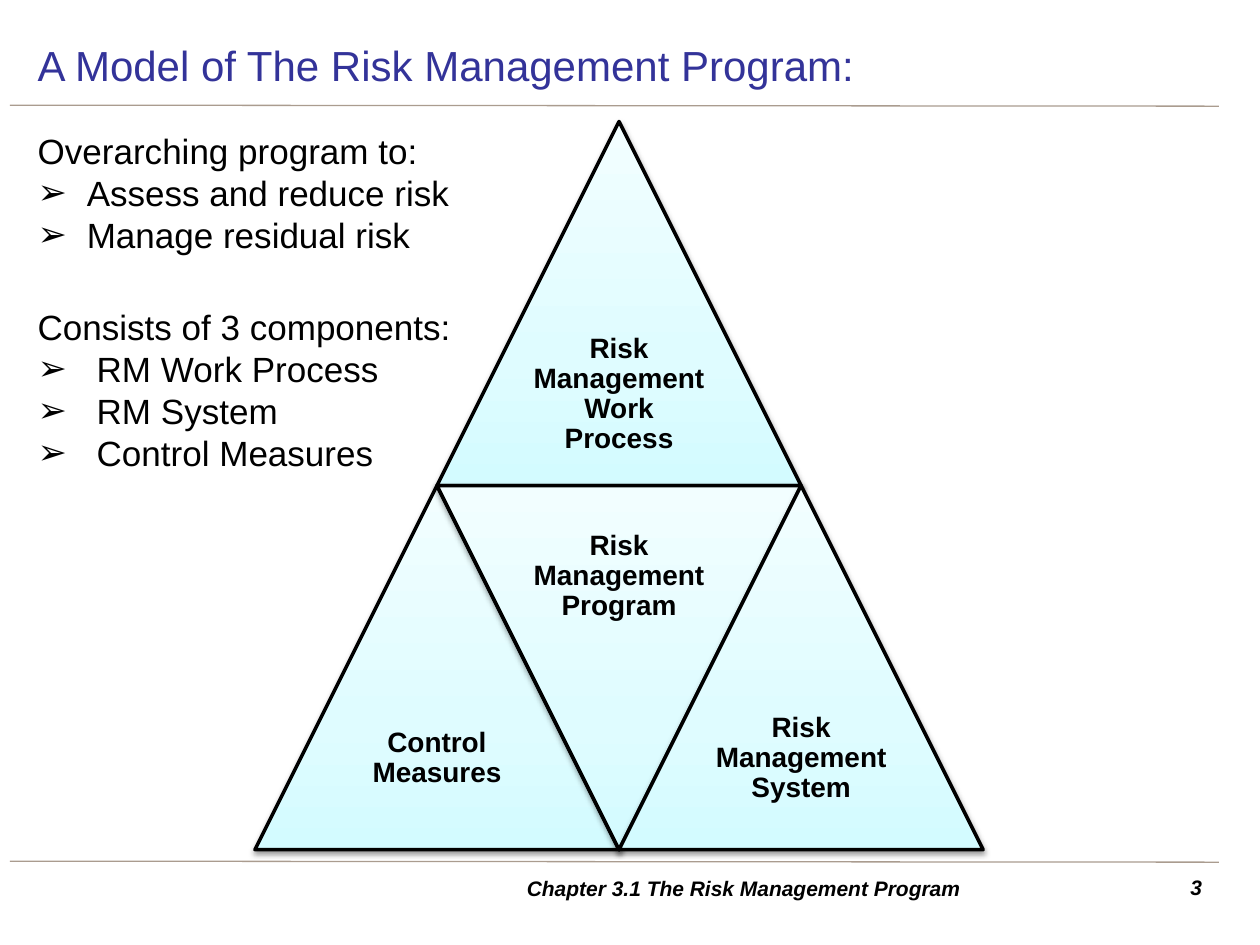
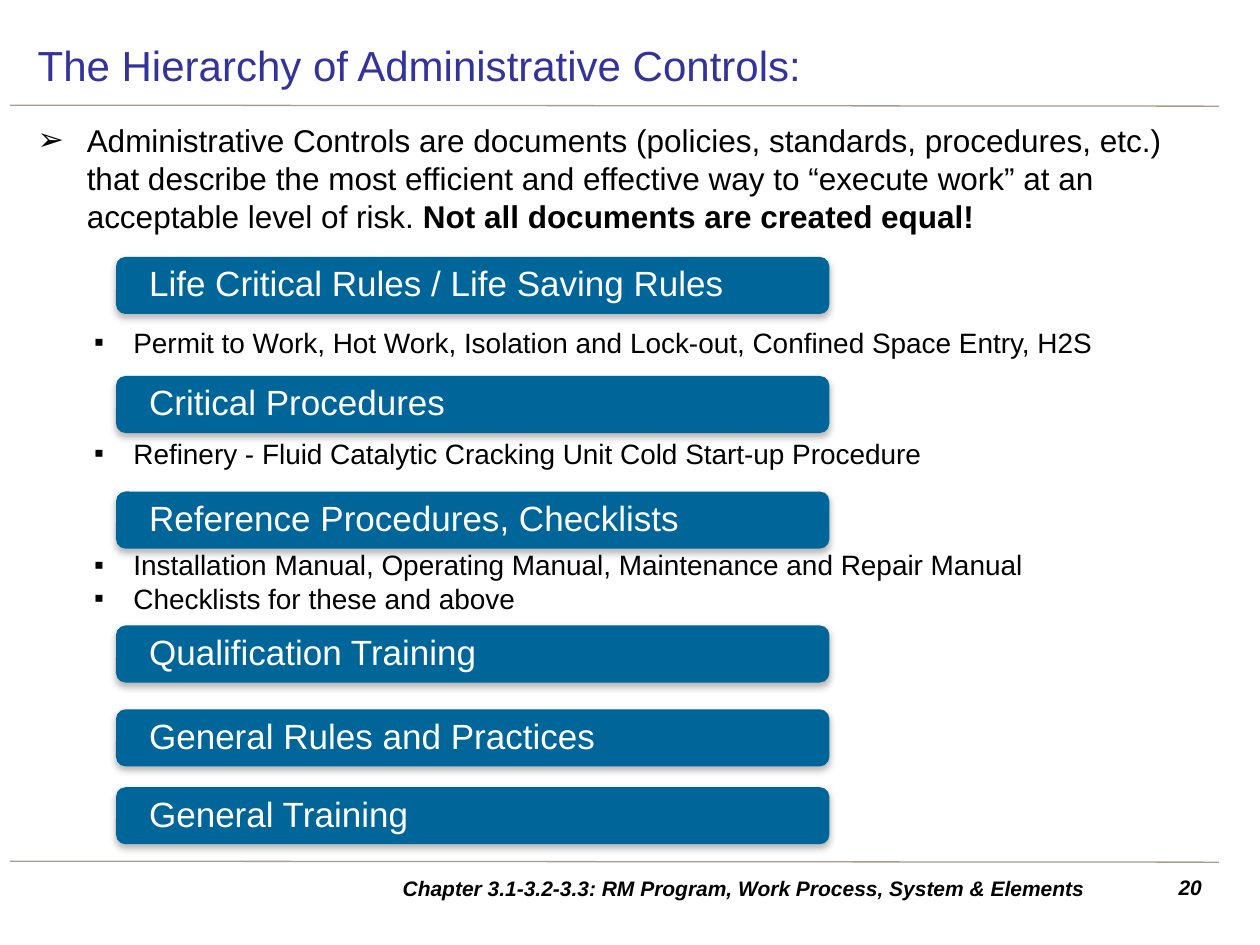
from lxml.etree import SubElement
from pptx import Presentation
from pptx.dml.color import RGBColor
from pptx.enum.shapes import MSO_CONNECTOR, MSO_SHAPE
from pptx.enum.text import MSO_ANCHOR, PP_ALIGN
from pptx.oxml import parse_xml
from pptx.oxml.ns import nsdecls, qn
from pptx.util import Cm, Pt

FONT = "Arial"
BLACK, WHITE, INDIGO = "000000", "FFFFFF", "333399"
RULE_COLOUR, BAR_COLOUR = "AA9C8F", "006699"
TRIANGLE_STOPS = [(0, "D3FBFF"), (35, "DFFCFF"), (100, "F2FEFF")]
ARROW, SQUARE = "➢", "▪"

MODEL_TITLE = "A Model of The Risk Management Program:"
MODEL_FOOTER = "Chapter 3.1 The Risk Management Program"
# heading, hanging indent in cm, bulleted points
MODEL_SECTIONS = [
    ("Overarching program to:", 0.99,
     ["Assess and reduce risk", "Manage residual risk"]),
    ("Consists of 3 components:", 1.19,
     ["RM Work Process", "RM System", "Control Measures"]),
]
# label, column in half sides, row, points down
TRIANGLES = [
    ("Risk Management Work Process", 1, 0, False),
    ("Control Measures", 0, 1, False),
    ("Risk Management Program", 1, 1, True),
    ("Risk Management System", 2, 1, False),
]
SIDE, PYRAMID_LEFT, PYRAMID_TOP = 7.34, 5.14, 2.45

HIERARCHY_TITLE = "The Hierarchy of Administrative Controls:"
HIERARCHY_FOOTER = "Chapter 3.1-3.2-3.3: RM Program, Work Process, System & Elements"
DEFINITION = (
    "Administrative Controls are documents (policies, standards, procedures, etc.) "
    "that describe the most efficient and effective way to “execute work” at an "
    "acceptable level of risk. "
)
WARNING = "Not all documents are created equal!"
# control level, top of its bar, bottom of its examples, examples
LEVELS = [
    ("Life Critical Rules / Life Saving Rules", 5.18, 7.34,
     ["Permit to Work, Hot Work, Isolation and Lock-out, Confined Space Entry, H2S"]),
    ("Critical Procedures", 7.58, 9.57,
     ["Refinery - Fluid Catalytic Cracking Unit Cold Start-up Procedure"]),
    ("Reference Procedures, Checklists", 9.91, 12.5,
     ["Installation Manual, Operating Manual, Maintenance and Repair Manual",
      "Checklists for these and above"]),
    ("Qualification Training", 12.61, None, []),
    ("General Rules and Practices", 14.3, None, []),
    ("General Training", 15.87, None, []),
]
BODY_BOX = (0.51, 2.31, 24, 14.81)
EXAMPLES_HEIGHT = 1.43


def colour(hex_code):
    return RGBColor.from_string(hex_code)


def set_bullet(paragraph, char, indent):
    """Give the paragraph a bullet with a hanging indent in cm."""
    props = paragraph._p.get_or_add_pPr()
    props.set("marL", str(Cm(indent)))
    props.set("indent", str(-Cm(indent)))
    SubElement(props, qn("a:buFont"), typeface=FONT)
    SubElement(props, qn("a:buChar"), char=char)


def style(paragraph, size, hex_code=BLACK, bold=False, italic=False):
    for run in paragraph.runs:
        font = run.font
        font.name, font.size, font.bold, font.italic = FONT, Pt(size), bold, italic
        font.color.rgb = colour(hex_code)


def prepare(frame, anchor, insets):
    """Wrap, anchor and set the side and top insets in cm."""
    frame.word_wrap = True
    frame.vertical_anchor = anchor
    frame.margin_left = frame.margin_right = Cm(insets[0])
    frame.margin_top = frame.margin_bottom = Cm(insets[1])
    return frame


def add_text_box(slide, box, anchor=MSO_ANCHOR.TOP, insets=(0.25, 0.13)):
    text_box = slide.shapes.add_textbox(*map(Cm, box))
    return prepare(text_box.text_frame, anchor, insets)


def add_label(slide, box, text, size, hex_code=BLACK, align=PP_ALIGN.LEFT,
              anchor=MSO_ANCHOR.MIDDLE, insets=(0.25, 0.13), bold=False, italic=False):
    """Add a text box with one paragraph."""
    paragraph = add_text_box(slide, box, anchor, insets).paragraphs[0]
    paragraph.text = text
    paragraph.alignment = align
    style(paragraph, size, hex_code, bold, italic)
    return paragraph


def add_shadow(shape, blur, distance, opacity):
    """Add a soft shadow straight below; lengths in points, opacity in percent."""
    shape._element.spPr.append(parse_xml(
        f'<a:effectLst {nsdecls("a")}><a:outerShdw blurRad="{Pt(blur)}" '
        f'dist="{Pt(distance)}" dir="5400000" rotWithShape="0"><a:srgbClr val="{BLACK}">'
        f'<a:alpha val="{opacity * 1000}"/></a:srgbClr></a:outerShdw></a:effectLst>'))


def fill_upwards(shape, stops):
    """Fill with a gradient that runs from bottom to top."""
    stop_list = "".join(f'<a:gs pos="{position * 1000}"><a:srgbClr val="{code}"/></a:gs>'
                        for position, code in stops)
    shape._element.spPr.find(qn("a:prstGeom")).addnext(parse_xml(
        f'<a:gradFill rotWithShape="0" {nsdecls("a")}><a:gsLst>{stop_list}</a:gsLst>'
        '<a:lin ang="16200000" scaled="0"/></a:gradFill>'))


def add_base_slide(deck, title, footer, number):
    """Add a slide with the title, both rules, the footer and the page number."""
    slide = deck.slides.add_slide(deck.slide_layouts[6])
    for top in (2.12, 17.36):
        rule = slide.shapes.add_connector(
            MSO_CONNECTOR.STRAIGHT, Cm(0.2), Cm(top), Cm(24.57), Cm(top + 0.02))
        rule.line.color.rgb = colour(RULE_COLOUR)
        rule.line.width = Pt(0.75)
        SubElement(rule._element.spPr, qn("a:effectLst"))
    add_label(slide, (0.51, 0.61, 24, 1.4), title, 24, INDIGO)
    add_label(slide, (23.01, 17.5, 1.47, 0.79), number, 12, align=PP_ALIGN.RIGHT,
              anchor=MSO_ANCHOR.TOP, bold=True, italic=True)
    add_label(slide, (7.49, 17.5, 15.01, 0.79), footer, 12, align=PP_ALIGN.CENTER,
              bold=True, italic=True)
    return slide


def add_triangle(slide, label, column, row, points_down):
    left, top = PYRAMID_LEFT + column * SIDE / 2, PYRAMID_TOP + row * SIDE
    triangle = slide.shapes.add_shape(
        MSO_SHAPE.ISOSCELES_TRIANGLE, Cm(left), Cm(top), Cm(SIDE), Cm(SIDE))
    triangle.rotation = 180 if points_down else 0
    fill_upwards(triangle, TRIANGLE_STOPS)
    triangle.line.color.rgb = colour(BLACK)
    triangle.line.width = Pt(2)
    add_shadow(triangle, 3.1, 1.6, 38)
    label_top = top if points_down else top + SIDE / 2
    paragraph = add_label(slide, (left + SIDE / 4, label_top, SIDE / 2, SIDE / 2), label,
                          16, align=PP_ALIGN.CENTER, insets=(0, 0), bold=True)
    paragraph.line_spacing = 0.9


def add_bar(slide, level, top):
    bar = slide.shapes.add_shape(
        MSO_SHAPE.ROUNDED_RECTANGLE, Cm(2.34), Cm(top), Cm(14.38), Cm(1.15))
    bar.fill.solid()
    bar.fill.fore_color.rgb = colour(BAR_COLOUR)
    bar.line.fill.background()
    add_shadow(bar, 4, 2, 28)
    paragraph = prepare(bar.text_frame, MSO_ANCHOR.MIDDLE, (0.61, 0.05)).paragraphs[0]
    paragraph.text = level
    paragraph.alignment = PP_ALIGN.LEFT
    paragraph.line_spacing = 0.9
    style(paragraph, 20, WHITE)


def add_examples(slide, examples, bottom):
    frame = add_text_box(slide, (1.8, bottom - EXAMPLES_HEIGHT, 20.98, EXAMPLES_HEIGHT),
                         MSO_ANCHOR.BOTTOM, (0.1, 0.1))
    frame.text = "\n".join(examples)
    for paragraph in frame.paragraphs:
        set_bullet(paragraph, SQUARE, 0.79)
        style(paragraph, 16)


def build_model(deck):
    slide = add_base_slide(deck, MODEL_TITLE, MODEL_FOOTER, "3")
    frame = add_text_box(slide, BODY_BOX)
    for index, (heading, indent, points) in enumerate(MODEL_SECTIONS):
        paragraph = frame.add_paragraph() if index else frame.paragraphs[0]
        paragraph.text = heading
        paragraph.line_spacing = 1.2
        if index:
            paragraph.space_before = Pt(24)
        style(paragraph, 20)
        for point in points:
            paragraph = frame.add_paragraph()
            paragraph.text = point
            set_bullet(paragraph, ARROW, indent)
            style(paragraph, 20)
    for triangle in TRIANGLES:
        add_triangle(slide, *triangle)


def build_hierarchy(deck):
    slide = add_base_slide(deck, HIERARCHY_TITLE, HIERARCHY_FOOTER, "20")
    paragraph = add_text_box(slide, BODY_BOX).paragraphs[0]
    paragraph.text = DEFINITION
    paragraph.add_run().text = WARNING
    set_bullet(paragraph, ARROW, 0.99)
    style(paragraph, 18)
    paragraph.runs[-1].font.bold = True
    for level, top, examples_bottom, examples in LEVELS:
        if examples:
            add_examples(slide, examples, examples_bottom)
        add_bar(slide, level, top)


def main():
    deck = Presentation()
    deck.slide_width, deck.slide_height = Cm(25.4), Cm(19.05)
    build_model(deck)
    build_hierarchy(deck)
    deck.save("out.pptx")


if __name__ == "__main__":
    main()
